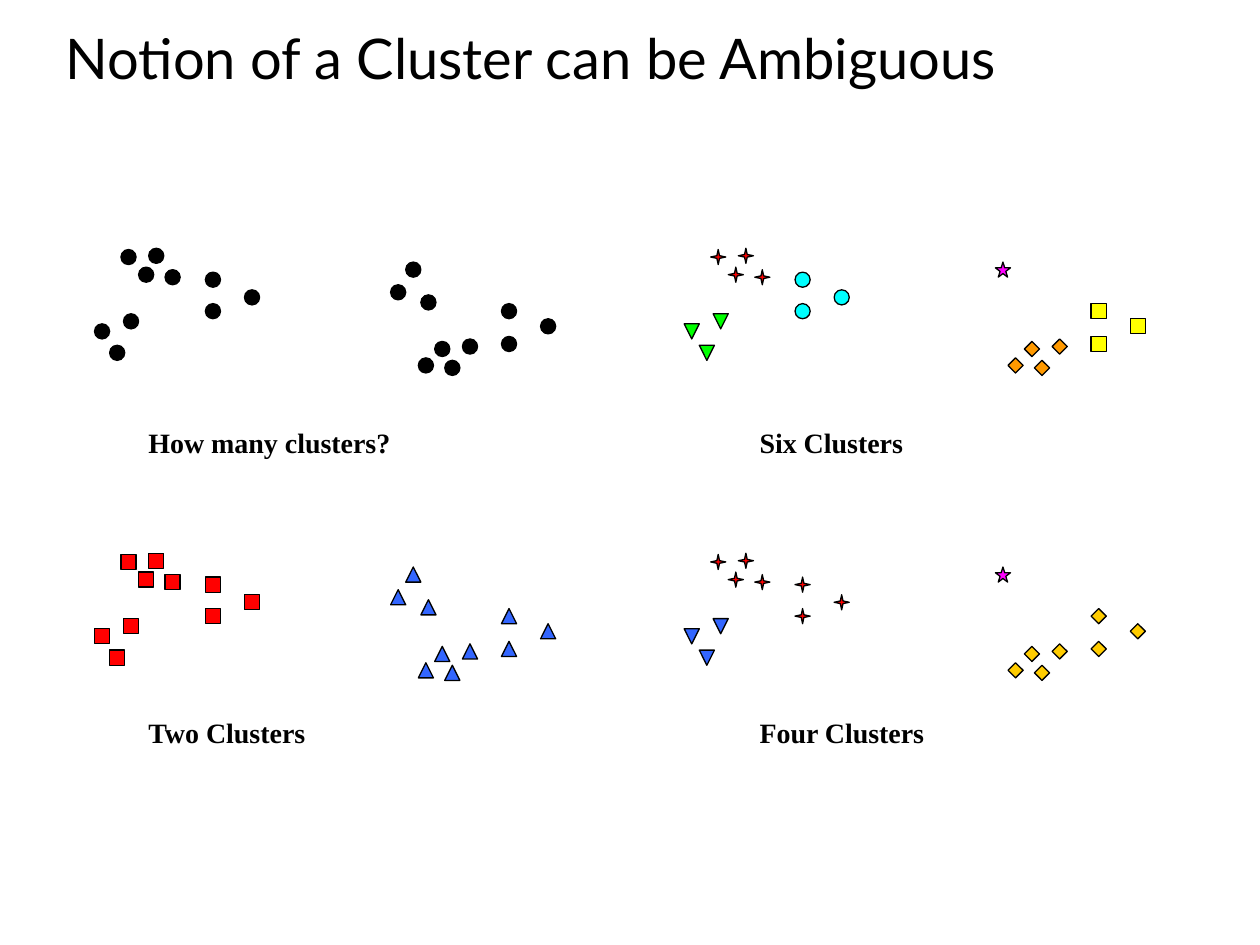
import pptx
import pptx.util
from dataclasses import dataclass
from pptx.dml.color import RGBColor
from pptx.enum.shapes import MSO_SHAPE
from pptx.enum.text import MSO_ANCHOR

TITLE = "Notion of a Cluster can be Ambiguous"

# Top-left corners of the markers, in inches from the panel's corner
REGIONS = {
    "right base": [(2.92, 0.72), (2.57, 0.87), (2.78, 0.89), (2.70, 0.74)],
    "right pair": [(2.59, 0.37), (2.35, 0.29)],
    "right peak": [(2.47, 0.11)],
    "right edge": [(3.23, 0.70), (3.54, 0.56), (3.23, 0.44)],
    "left top": [(0.56, 0.17), (0.21, 0.01), (0.43, 0), (0.35, 0.15)],
    "left low": [(0.23, 0.52), (0, 0.60), (0.12, 0.77)],
    "left edge": [(0.88, 0.19), (1.19, 0.33), (0.88, 0.44)],
}
LEFT = ["left top", "left low", "left edge"]
RIGHT = ["right base", "right pair", "right peak", "right edge"]

# Caption, column, row, clusters as (regions, marker, colour)
PANELS = [
    ("How many clusters?", 0, 0, [
        (RIGHT + LEFT, MSO_SHAPE.OVAL, "black"),
    ]),
    ("Four Clusters", 1, 1, [
        (["right base", "right edge"], MSO_SHAPE.DIAMOND, "gold"),
        (["right peak"], MSO_SHAPE.STAR_5_POINT, "magenta"),
        (["left top", "left edge"], MSO_SHAPE.STAR_4_POINT, "red"),
        (["left low"], MSO_SHAPE.FLOWCHART_MERGE, "blue"),
    ]),
    ("Two Clusters", 0, 1, [
        (RIGHT, MSO_SHAPE.ISOSCELES_TRIANGLE, "blue"),
        (LEFT, MSO_SHAPE.RECTANGLE, "red"),
    ]),
    ("Six Clusters", 1, 0, [
        (["right base"], MSO_SHAPE.DIAMOND, "orange"),
        (["right peak"], MSO_SHAPE.STAR_5_POINT, "magenta"),
        (["right edge"], MSO_SHAPE.RECTANGLE, "yellow"),
        (["left top"], MSO_SHAPE.STAR_4_POINT, "red"),
        (["left low"], MSO_SHAPE.FLOWCHART_MERGE, "green"),
        (["left edge"], MSO_SHAPE.OVAL, "cyan"),
    ]),
]


@dataclass(frozen=True)
class Theme:
    title_font: str = "Lato"
    title_size: int = 32
    title_spacing: float = 1.13
    caption_font: str = "Times New Roman"
    caption_size: int = 16
    outline: float = 0.75
    colours = {
        "black": "000000", "red": "FF0000", "blue": "3366FF",
        "gold": "FFCC00", "orange": "FF9900", "yellow": "FFFF00",
        "green": "00FF00", "cyan": "00FFFF", "magenta": "FF00FF",
    }

    def colour(self, name):
        return RGBColor.from_string(self.colours[name])


THEME = Theme()
MARKER = 0.12
PANEL_START, PANEL_STEP = (0.75, 1.97), (4.68, 2.42)
CAPTION_START, CAPTION_STEP = (1.08, 3.33), (4.85, 2.30)
CAPTION_SIZE = (2.5, 0.37)


def grid_corner(start, step, column, row):
    return start[0] + column * step[0], start[1] + row * step[1]


def add_text(shapes, bounds, text, font, size, bold=False):
    box = shapes.add_textbox(*map(pptx.util.Inches, bounds))
    box.text_frame.word_wrap = True
    span = box.text_frame.paragraphs[0].add_run()
    span.text = text
    span.font.name = font
    span.font.size = pptx.util.Pt(size)
    span.font.bold = bold
    span.font.color.rgb = THEME.colour("black")
    return box


def add_marker(shapes, kind, left, top, colour):
    bounds = (left, top, MARKER, MARKER)
    marker = shapes.add_shape(kind, *map(pptx.util.Inches, bounds))
    marker.shadow.inherit = False
    marker.fill.solid()
    marker.fill.fore_color.rgb = THEME.colour(colour)
    marker.line.color.rgb = THEME.colour("black")
    marker.line.width = pptx.util.Pt(THEME.outline)


def add_panel(page, caption, column, row, clusters):
    shapes = page.shapes.add_group_shape().shapes
    left, top = grid_corner(PANEL_START, PANEL_STEP, column, row)
    for regions, kind, colour in clusters:
        for region in regions:
            for x, y in REGIONS[region]:
                add_marker(shapes, kind, left + x, top + y, colour)
    corner = grid_corner(CAPTION_START, CAPTION_STEP, column, row)
    add_text(shapes, corner + CAPTION_SIZE, caption,
             THEME.caption_font, THEME.caption_size, bold=True)


def main():
    deck = pptx.Presentation()
    deck.slide_width = pptx.util.Inches(10)
    deck.slide_height = pptx.util.Inches(7.5)
    page = deck.slides.add_slide(deck.slide_layouts[6])
    title = add_text(page.shapes, (0.42, 0.17, 9.06, 0.6), TITLE,
                     THEME.title_font, THEME.title_size)
    title.text_frame.vertical_anchor = MSO_ANCHOR.BOTTOM
    title.text_frame.paragraphs[0].line_spacing = THEME.title_spacing
    for panel in PANELS:
        add_panel(page, *panel)
    deck.save("out.pptx")


if __name__ == "__main__":
    main()
